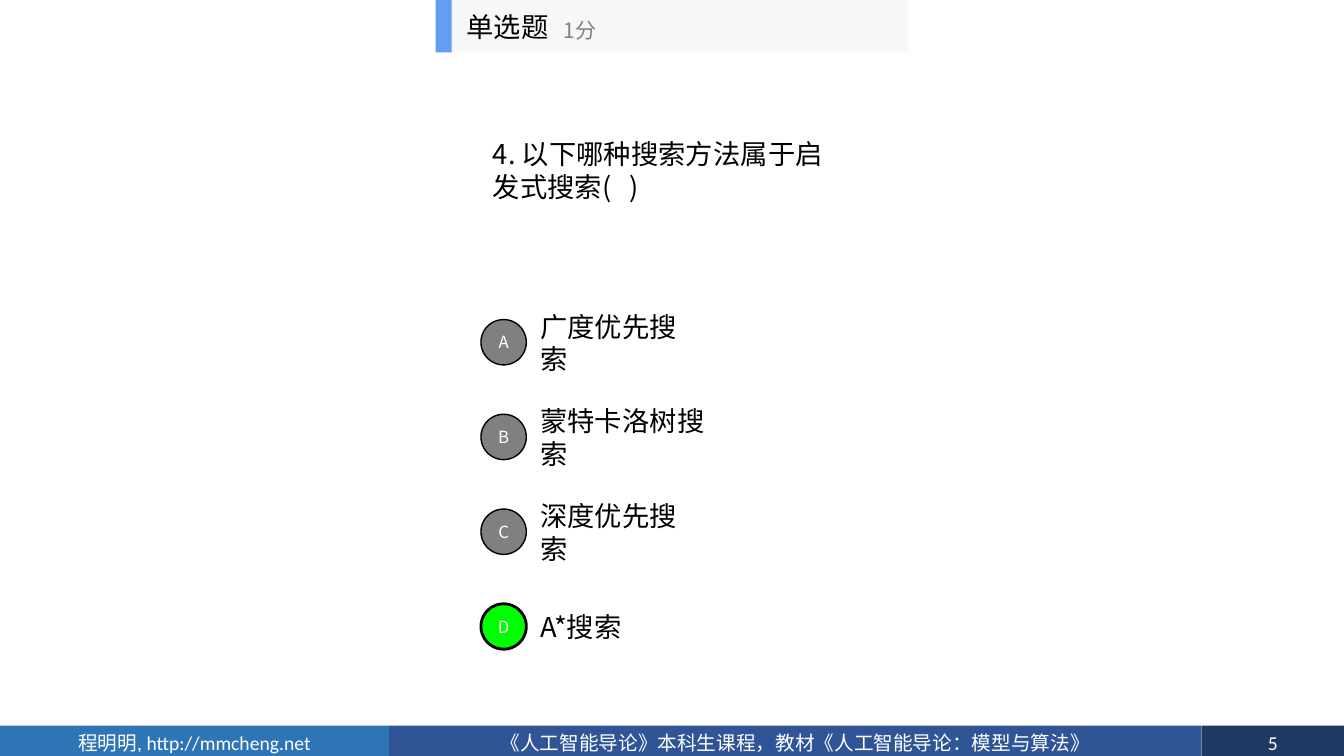
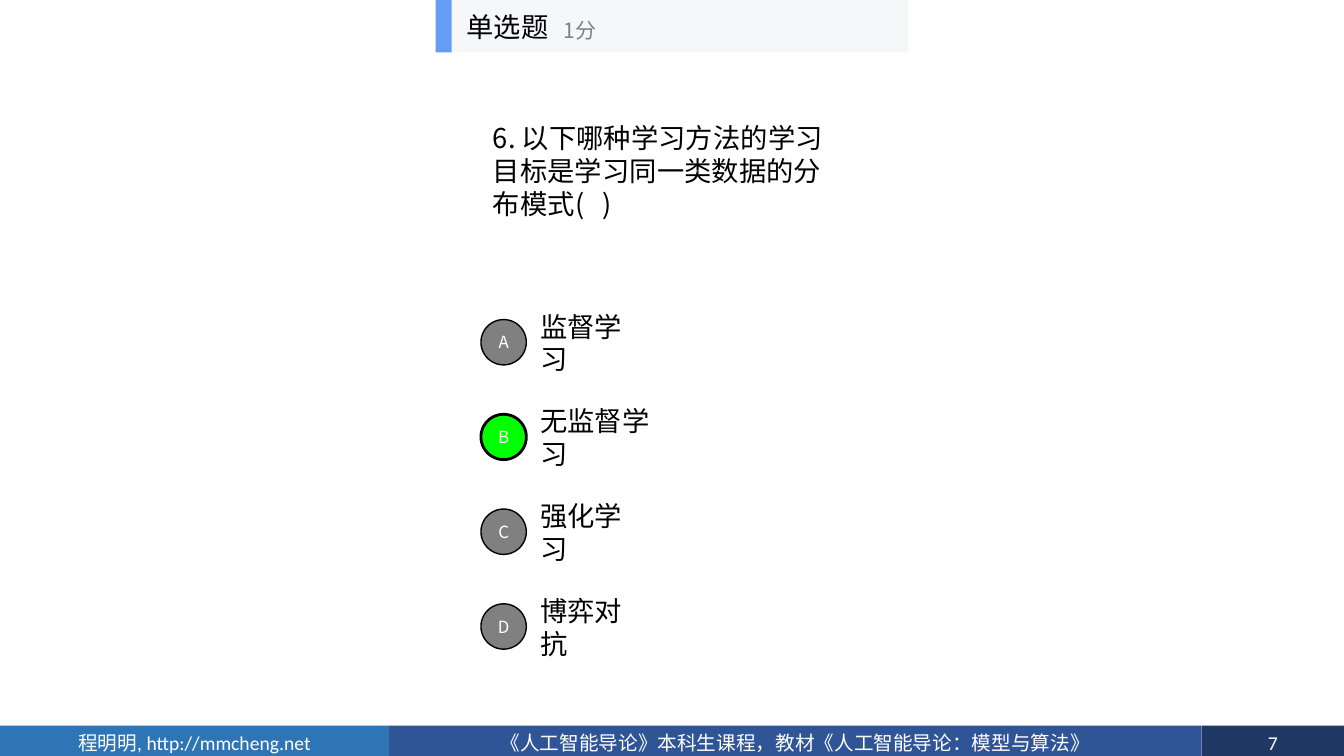
from lxml import etree
from pptx import Presentation
from pptx import util as u
from pptx.dml.color import RGBColor
from pptx.enum import shapes, text
from pptx.oxml.ns import qn

COLORS = {
    "black": "000000", "white": "FFFFFF", "gray": "808080", "right": "00FF00",
    "band": "F6F7F8", "accent": "639EF4",
    "author": "2E75B6", "course": "2F5597", "number": "203864",
}
CJK_FONT = "Noto Sans CJK SC"
LATIN_FONT = "Calibri"
BODY_SIZE = 19.5
LINE_PITCH = 23.4

# Page number, question, question top and height, options with box widths, answer
QUIZ = [
    (5, "4. 以下哪种搜索方法属于启发式搜索(   )", 1.31, 0.76,
     [("广度优先搜索", 1.77), ("蒙特卡洛树搜索", 2.05),
      ("深度优先搜索", 1.77), ("A*搜索", 1.01)], "D"),
    (7, "6. 以下哪种学习方法的学习目标是学习同一类数据的分布模式(   )", 1.15, 1.08,
     [("监督学习", 1.23), ("无监督学习", 1.5),
      ("强化学习", 1.23), ("博弈对抗", 1.23)], "B"),
]


def color(name):
    return RGBColor.from_string(COLORS[name])


class QuizDeck:
    """Holds the shared style and the current page."""

    def __init__(self):
        self.deck = Presentation()
        self.deck.slide_width = u.Inches(13.33)
        self.deck.slide_height = u.Inches(7.5)
        self.page = None

    def new_page(self):
        self.page = self.deck.slides.add_slide(self.deck.slide_layouts[6])

    def set_text(self, box, words, size, tint, font=CJK_FONT, centered=False):
        frame = box.text_frame
        frame.word_wrap = True
        frame.vertical_anchor = text.MSO_ANCHOR.MIDDLE
        para = frame.paragraphs[0]
        para.text = words
        para.alignment = text.PP_ALIGN.CENTER if centered else text.PP_ALIGN.LEFT
        para.font.size = u.Pt(size)
        para.font.name = font
        para.font.color.rgb = color(tint)
        defaults = para._p.pPr.find(qn("a:defRPr"))
        etree.SubElement(defaults, qn("a:ea")).set("typeface", CJK_FONT)
        return para

    def label(self, at, words, size=BODY_SIZE, tint="black"):
        box = self.page.shapes.add_textbox(*map(u.Inches, at))
        return self.set_text(box, words, size, tint)

    def shape(self, at, fill, kind=shapes.MSO_SHAPE.RECTANGLE):
        box = self.page.shapes.add_shape(kind, *map(u.Inches, at))
        box.shadow.inherit = False
        box.fill.solid()
        box.fill.fore_color.rgb = color(fill)
        box.line.fill.background()
        return box

    def footer(self, number):
        left = 0
        for words, width, fill in (
            ("程明明, http://mmcheng.net", 3.86, "author"),
            ("《人工智能导论》本科生课程，教材《人工智能导论：模型与算法》", 8.06, "course"),
            (str(number), 1.41, "number"),
        ):
            band = self.shape((left, 7.2, width, 0.34), fill)
            self.set_text(band, words, 14, "white", LATIN_FONT, centered=True)
            left += width

    def header(self):
        self.shape((4.32, 0, 4.69, 0.52), "band")
        self.shape((4.32, 0, 0.16, 0.52), "accent")
        self.label((4.53, 0, 1.56, 0.52), "单选题")
        self.label((5.49, 0.09, 1.88, 0.42), "1分", 15, "gray")

    def question(self, words, top, height):
        para = self.label((4.79, top, 3.7, height), words)
        para.line_spacing = u.Pt(LINE_PITCH)

    def option(self, row, letter, words, width, is_right):
        top = 3.02 + row * 0.94
        para = self.label((5.26, top, width, 0.76), words)
        para.line_spacing = u.Pt(LINE_PITCH)
        badge = self.shape((4.77, top + 0.15, 0.45, 0.45),
                           "right" if is_right else "gray", shapes.MSO_SHAPE.OVAL)
        badge.line.color.rgb = color("black")
        badge.line.width = u.Pt(2 if is_right else 1)
        frame = badge.text_frame
        frame.margin_left = frame.margin_right = 0
        frame.margin_top = frame.margin_bottom = 0
        self.set_text(badge, letter, 12, "white", centered=True)


def main():
    quiz = QuizDeck()
    for number, words, top, height, options, answer in QUIZ:
        quiz.new_page()
        quiz.footer(number)
        quiz.question(words, top, height)
        for row, (letter, (choice, width)) in enumerate(zip("ABCD", options)):
            quiz.option(row, letter, choice, width, letter == answer)
        quiz.header()
    quiz.deck.save("out.pptx")


if __name__ == "__main__":
    main()
